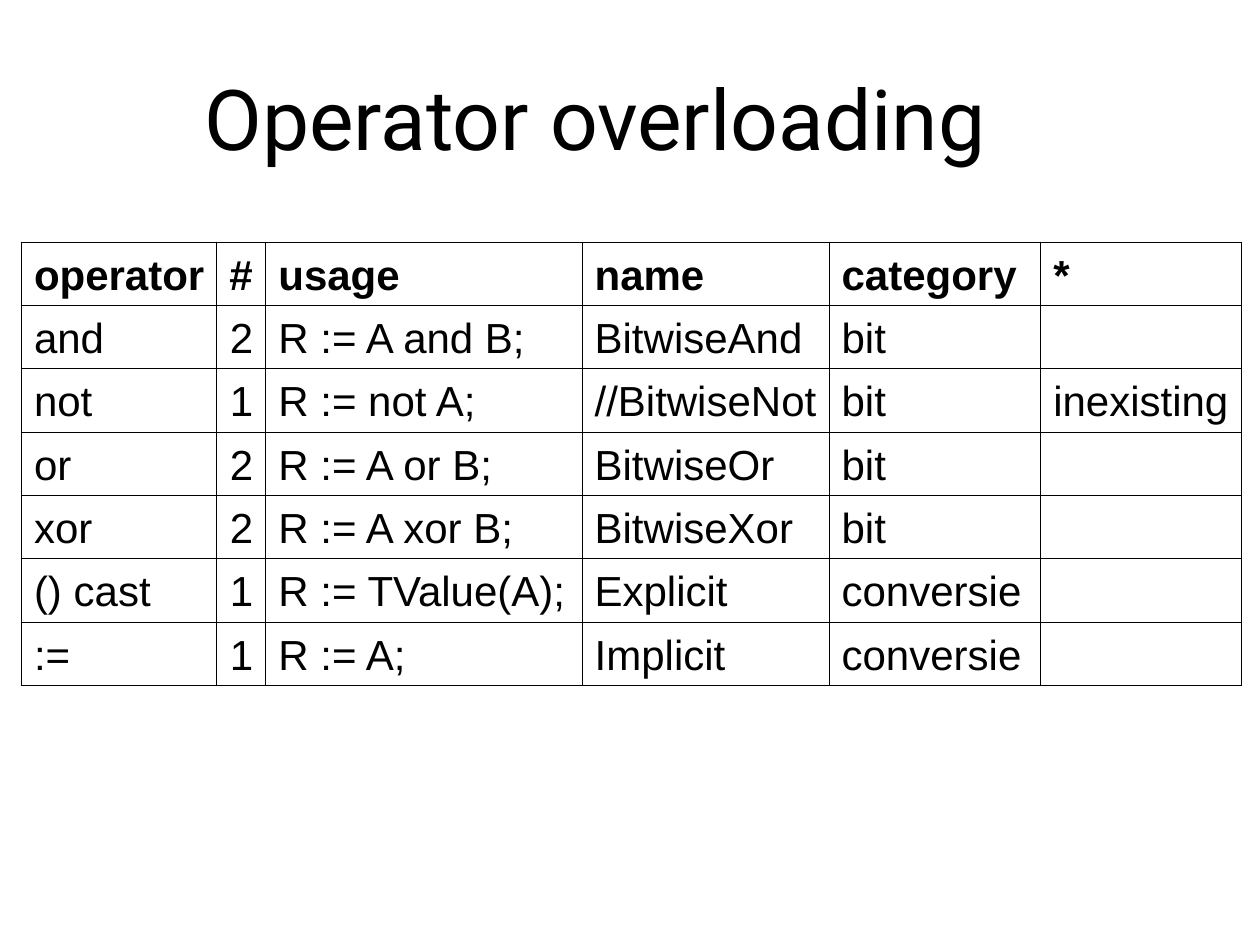
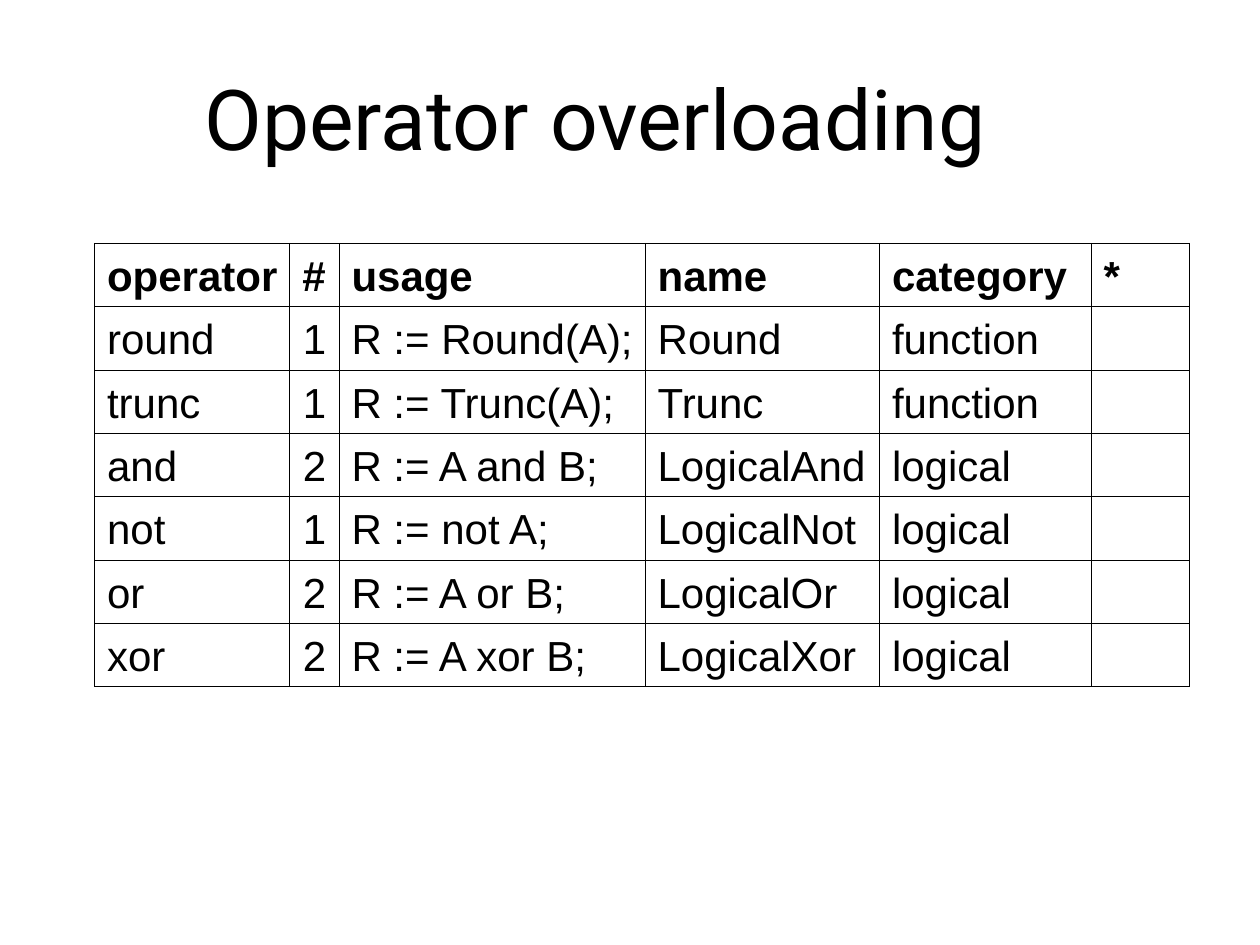
from lxml.etree import SubElement
from pptx import Presentation
from pptx.dml.color import RGBColor
from pptx.enum.text import MSO_ANCHOR as ANCHOR, PP_ALIGN as ALIGN
from pptx.oxml.ns import qn
from pptx.util import Inches, Pt

COLORS = {"ink": "000000", "rule": "000000"}
TITLE_FONT, TABLE_FONT = "Roboto", "Arial"
ROW_HEIGHT = 3.52 / 7
RULE_WIDTH = Pt(0.45)
HEADER = ("operator", "#", "usage", "name", "category", "*")

BITWISE = [
    ("and", "2", "R := A and B;", "BitwiseAnd", "bit", ""),
    ("not", "1", "R := not A;", "//BitwiseNot", "bit", "inexisting"),
    ("or", "2", "R := A or B;", "BitwiseOr", "bit", ""),
    ("xor", "2", "R := A xor B;", "BitwiseXor", "bit", ""),
    ("() cast", "1", "R := TValue(A);", "Explicit", "conversie", ""),
    (":=", "1", "R := A;", "Implicit", "conversie", ""),
]
LOGICAL = [
    ("round", "1", "R := Round(A);", "Round", "function", ""),
    ("trunc", "1", "R := Trunc(A);", "Trunc", "function", ""),
    ("and", "2", "R := A and B;", "LogicalAnd", "logical", ""),
    ("not", "1", "R := not A;", "LogicalNot", "logical", ""),
    ("or", "2", "R := A or B;", "LogicalOr", "logical", ""),
    ("xor", "2", "R := A xor B;", "LogicalXor", "logical", ""),
]


def add_run(p, text, font, size, bold=False):
    """Add one styled run to a paragraph."""
    r = p.add_run()
    r.text = text
    r.font.name, r.font.size, r.font.bold = font, Pt(size), bold
    r.font.color.rgb = RGBColor.from_string(COLORS["ink"])


def add_title(s, text):
    """Add the centred slide title."""
    box = s.shapes.add_textbox(0, Inches(0.3), Inches(9.45), Inches(1.25))
    tf = box.text_frame
    tf.word_wrap = True
    tf.vertical_anchor = ANCHOR.MIDDLE
    p = tf.paragraphs[0]
    p.alignment = ALIGN.CENTER
    add_run(p, text, TITLE_FONT, 48)


def add_borders(cell):
    """Draw a thin rule on all four sides of a cell."""
    props = cell._tc.get_or_add_tcPr()
    for side in ("lnL", "lnR", "lnT", "lnB"):
        line = SubElement(props, qn(f"a:{side}"), w=str(RULE_WIDTH))
        fill = SubElement(line, qn("a:solidFill"))
        SubElement(fill, qn("a:srgbClr"), val=COLORS["rule"])


def fill_cell(cell, text, bold, align):
    """Style a cell and write its text."""
    add_borders(cell)
    cell.fill.background()
    cell.vertical_anchor = ANCHOR.BOTTOM
    cell.margin_right = Inches(0.1 if align == ALIGN.RIGHT else 0.08)
    if text:
        p = cell.text_frame.paragraphs[0]
        p.alignment = align
        add_run(p, text, TABLE_FONT, 24, bold)


def add_operator_table(s, left, top, widths, body):
    """Add a ruled table with a bold header row."""
    rows = [HEADER, *body]
    frame = s.shapes.add_table(len(rows), len(HEADER), Inches(left), Inches(top),
                               Inches(sum(widths)), Inches(ROW_HEIGHT * len(rows)))
    table = frame.table
    table.first_row = table.horz_banding = False
    for column, width in zip(table.columns, widths):
        column.width = Inches(width)
    for i, row in enumerate(rows):
        table.rows[i].height = Inches(ROW_HEIGHT)
        for j, text in enumerate(row):
            align = ALIGN.RIGHT if text.isdigit() else ALIGN.LEFT
            fill_cell(table.cell(i, j), text, i == 0, align)


def add_operator_slide(prs, left, top, widths, body):
    """Add a slide with the shared title and one operator table."""
    s = prs.slides.add_slide(prs.slide_layouts[6])
    add_title(s, "Operator overloading")
    add_operator_table(s, left, top, widths, body)


def main():
    """Build the deck."""
    prs = Presentation()
    prs.slide_width, prs.slide_height = Inches(10), Inches(7.5)
    add_operator_slide(prs, 0.17, 1.92, (1.55, 0.39, 2.51, 1.96, 1.68, 1.59), BITWISE)
    add_operator_slide(prs, 0.75, 1.93, (1.55, 0.39, 2.43, 1.86, 1.68, 0.78), LOGICAL)
    prs.save("out.pptx")


main()
